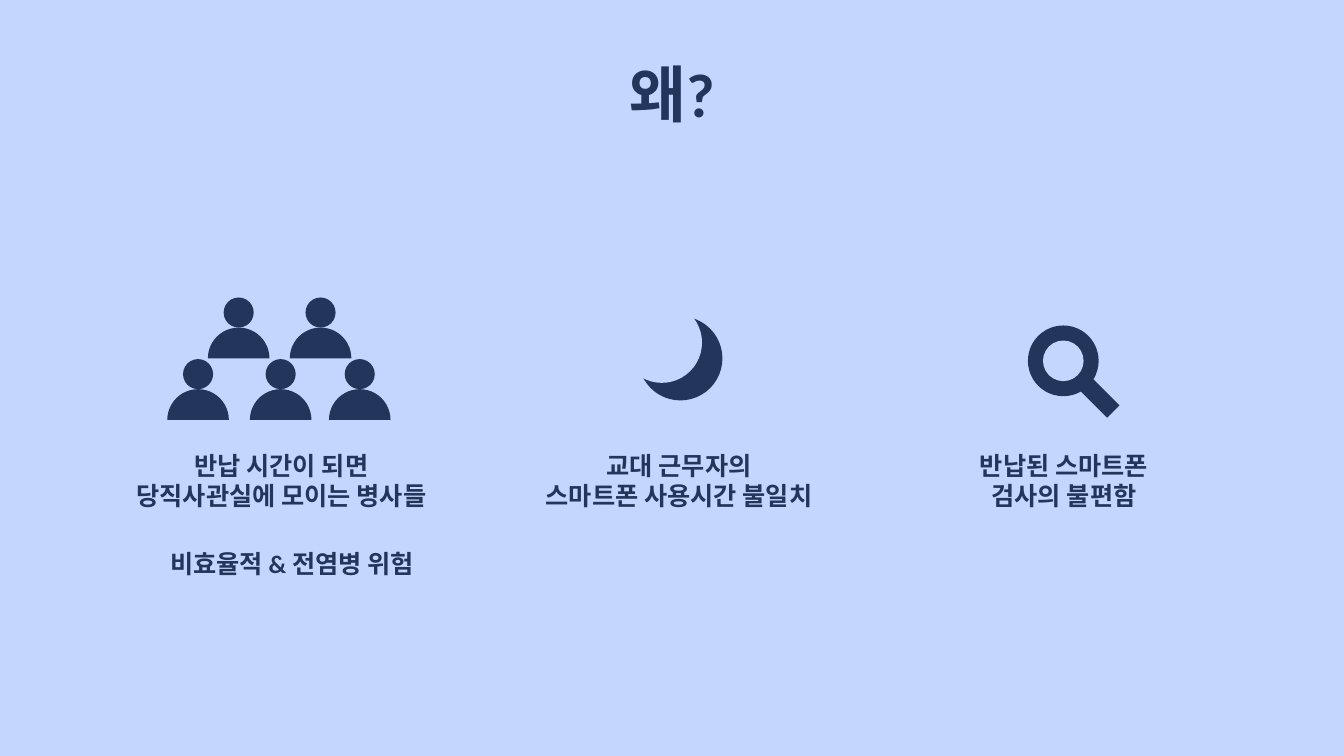
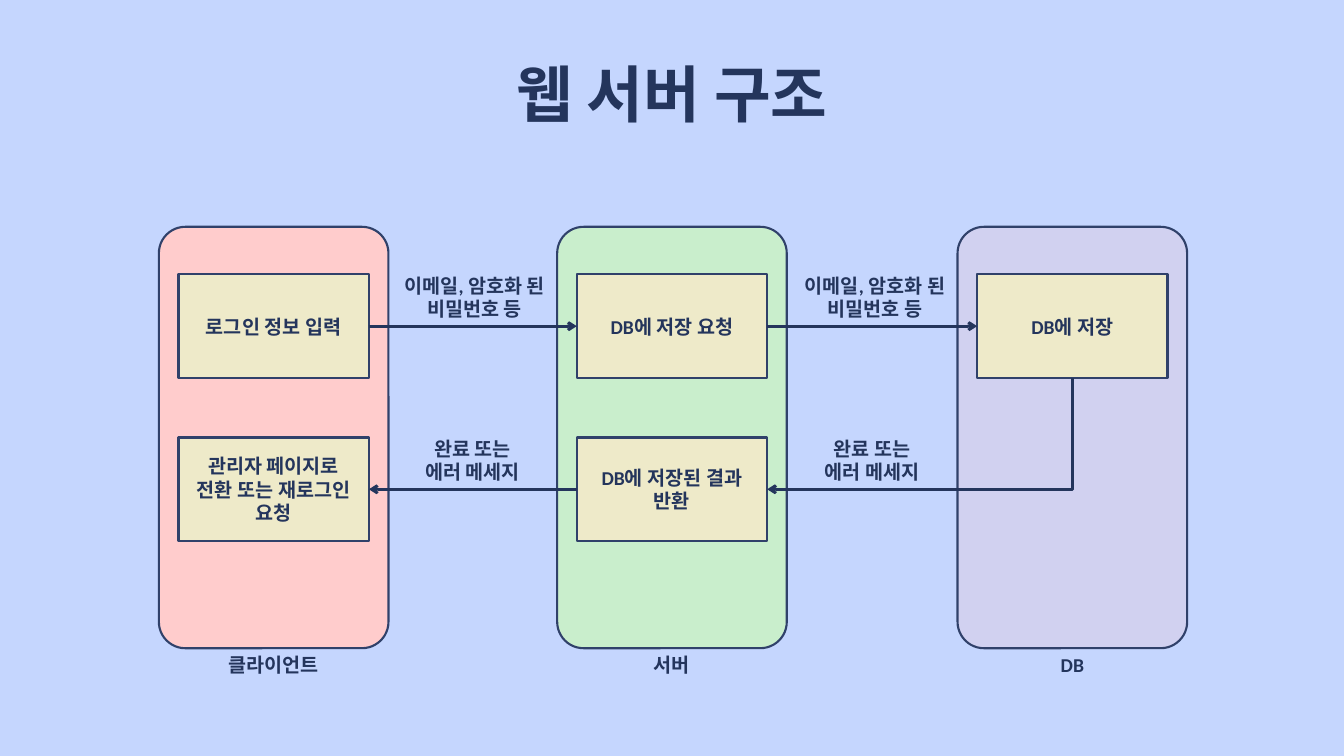
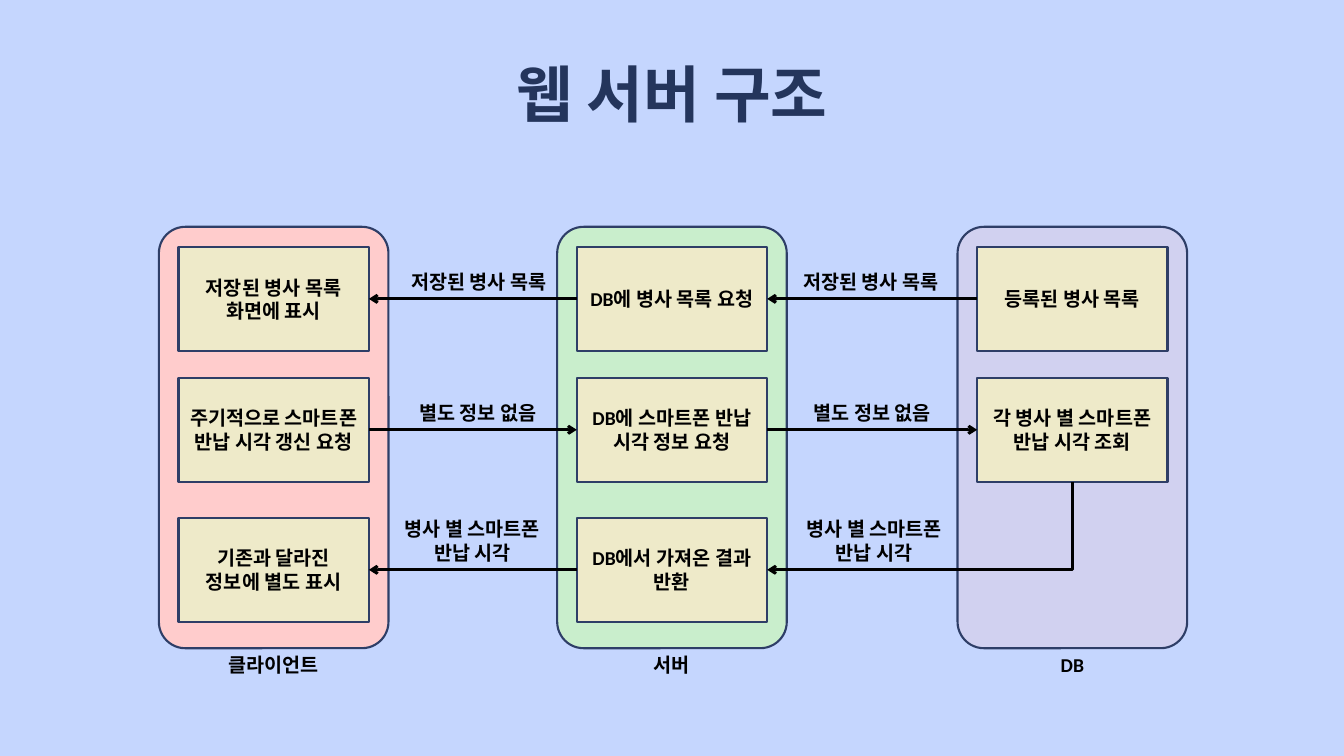
from lxml.etree import SubElement
from pptx import Presentation
from pptx.dml.color import RGBColor
from pptx.enum.shapes import MSO_CONNECTOR, MSO_SHAPE
from pptx.enum.text import MSO_ANCHOR, PP_ALIGN
from pptx.oxml.ns import qn
from pptx.util import Pt

COLORS = {
    "sky": "C5D6FE", "navy": "24355C", "black": "000000",
    "client": "FFCCCC", "server": "C9EECC", "db": "D1D1F0", "card": "EEEAC9",
    "login_border": "30416A", "list_border": "2E3E67",
}
FONT = {"name": "Calibri", "bold": True}


def write(frame, text, size, color, align=PP_ALIGN.CENTER, wrap=False):
    frame.text = text
    frame.word_wrap = wrap
    for paragraph in frame.paragraphs:
        paragraph.alignment = align
        for attribute, value in (FONT | {"size": Pt(size)}).items():
            setattr(paragraph.font, attribute, value)
        paragraph.font.color.rgb = RGBColor.from_string(COLORS[color])


def draw(shapes, kind, box, fill, border=None):
    shape = shapes.add_shape(kind, *map(Pt, box))
    shape.shadow.inherit = False
    shape.fill.solid()
    shape.fill.fore_color.rgb = RGBColor.from_string(COLORS[fill])
    if border:
        shape.line.color.rgb = RGBColor.from_string(COLORS[border])
        shape.line.width = Pt(1.5)
    else:
        shape.line.fill.background()
    return shape


deck = Presentation()
deck.slide_width, deck.slide_height = Pt(960), Pt(540)
slides = []
for heading in ["왜?", "웹 서버 구조", "웹 서버 구조"]:
    slide = deck.slides.add_slide(deck.slide_layouts[5])
    slide.background.fill.solid()
    slide.background.fill.fore_color.rgb = RGBColor.from_string(COLORS["sky"])
    title = slide.shapes.title
    title.left, title.top, title.width, title.height = map(Pt, (48, 21.6, 864, 90))
    write(title.text_frame, heading, 44, "navy", wrap=True)
    title.text_frame.vertical_anchor = MSO_ANCHOR.MIDDLE
    slides.append(slide)

why, login, soldier_list = slides

crowd = why.shapes.add_group_shape().shapes
for center, top in [(200.5, 256.5), (141.5, 256.5), (257, 256.5), (229, 212.5), (170.5, 212.5)]:
    draw(crowd, MSO_SHAPE.OVAL, (center - 10.75, top, 21.5, 21.5), "navy")
    body = draw(crowd, MSO_SHAPE.CHORD, (center - 22, top + 21.5, 44, 44), "navy")
    body.adjustments[0], body.adjustments[1] = 108, 0

moon = why.shapes.add_group_shape().shapes
draw(moon, MSO_SHAPE.OVAL, (456, 226, 60, 60), "navy")
draw(moon, MSO_SHAPE.OVAL, (444, 216, 57.5, 57.5), "sky")

magnifier = why.shapes.add_group_shape().shapes
draw(magnifier, MSO_SHAPE.OVAL, (734.25, 232.5, 50.5, 50.5), "navy")
handle = draw(magnifier, MSO_SHAPE.RECTANGLE, (774.5, 259, 12.5, 41), "navy")
handle.rotation = 315
draw(magnifier, MSO_SHAPE.OVAL, (745, 243.25, 29, 29), "sky")

for reason, box, align in [
    ("반납 시간이 되면\n당직사관실에 모이는 병사들", (71, 318, 260, 51), PP_ALIGN.CENTER),
    ("교대 근무자의\n스마트폰 사용시간 불일치", (374, 318, 222, 51), PP_ALIGN.CENTER),
    ("반납된 스마트폰\n검사의 불편함", (688, 318, 144, 51), PP_ALIGN.CENTER),
    ("비효율적 & 전염병 위험", (114.5, 388, 201, 29), PP_ALIGN.LEFT),
]:
    caption = why.shapes.add_textbox(*map(Pt, box))
    write(caption.text_frame, reason, 18, "navy", align)

LANES = [("클라이언트", "client", 113.5), ("서버", "server", 398), ("DB", "db", 684)]
LANE_WIDTH, LANE_TOP, LANE_HEIGHT = 164, 162, 301
CARD_WIDTH, CARD_HEIGHT = 136, 74
CARD_INSET = (LANE_WIDTH - CARD_WIDTH) / 2

login_rows = [
    (196, "tailEnd", ["로그인 정보 입력", "DB에 저장 요청", "DB에 저장"],
     "이메일, 암호화 된\n비밀번호 등", 122, (339, 625)),
    (312.5, "headEnd", ["관리자 페이지로 전환 또는 재로그인 요청", "DB에 저장된 결과 반환"],
     "완료 또는\n에러 메세지", 88, (337.5, 623)),
]
list_rows = [
    (176.5, "headEnd", ["저장된 병사 목록 화면에 표시", "DB에 병사 목록 요청", "등록된 병사 목록"],
     "저장된 병사 목록", 120, (342, 622)),
    (270, "tailEnd", ["주기적으로 스마트폰 반납 시각 갱신 요청", "DB에 스마트폰 반납 시각 정보 요청",
                      "각 병사 별 스마트폰 반납 시각 조회"],
     "별도 정보 없음", 105, (341.5, 623)),
    (370, "headEnd", ["기존과 달라진 정보에 별도 표시", "DB에서 가져온 결과 반환"],
     "병사 별 스마트폰\n반납 시각", 119, (337.5, 624.5)),
]

for slide, rows, ink, border in [
    (login, login_rows, "navy", "login_border"),
    (soldier_list, list_rows, "black", "list_border"),
]:
    shapes = slide.shapes
    for name, fill, left in LANES:
        lane = draw(shapes, MSO_SHAPE.ROUNDED_RECTANGLE,
                    (left, LANE_TOP, LANE_WIDTH, LANE_HEIGHT), fill, border)
        lane.adjustments[0] = 0.115
        caption = shapes.add_textbox(Pt(left + LANE_WIDTH / 2 - 42.5), Pt(LANE_TOP + LANE_HEIGHT),
                                     Pt(85), Pt(24))
        write(caption.text_frame, name, 14, ink)

    for top, arrow_end, steps, message, message_width, centers in rows:
        cards = []
        for step, (name, fill, left) in zip(steps, LANES):
            card = draw(shapes, MSO_SHAPE.RECTANGLE,
                        (left + CARD_INSET, top, CARD_WIDTH, CARD_HEIGHT), "card", border)
            write(card.text_frame, step, 14, ink, wrap=True)
            card.text_frame.vertical_anchor = MSO_ANCHOR.MIDDLE
            cards.append(card)
        turns = len(cards) == 2
        if turns:
            cards.append(db_card)
        client_card, server_card, db_card = cards

        for start, stop, bent in [(client_card, server_card, False), (server_card, db_card, turns)]:
            kind = MSO_CONNECTOR.ELBOW if bent else MSO_CONNECTOR.STRAIGHT
            arrow = shapes.add_connector(kind, 0, 0, 0, 0)
            arrow.begin_connect(start, 3)
            arrow.end_connect(stop, 2 if bent else 1)
            arrow.line.color.rgb = RGBColor.from_string(COLORS[ink])
            arrow.line.width = Pt(2)
            properties = arrow.element.spPr
            SubElement(properties.find(qn("a:ln")), qn(f"a:{arrow_end}"), type="arrow")
            SubElement(properties, qn("a:effectLst"))
            if bent:
                properties.find(qn("a:prstGeom")).set("prst", "bentConnector2")

        message_height = 24 + 17 * message.count("\n")
        for center in centers:
            label = shapes.add_textbox(Pt(center - message_width / 2),
                                       Pt(top + CARD_HEIGHT / 2 - message_height),
                                       Pt(message_width), Pt(message_height))
            write(label.text_frame, message, 14, ink)

deck.save("out.pptx")
